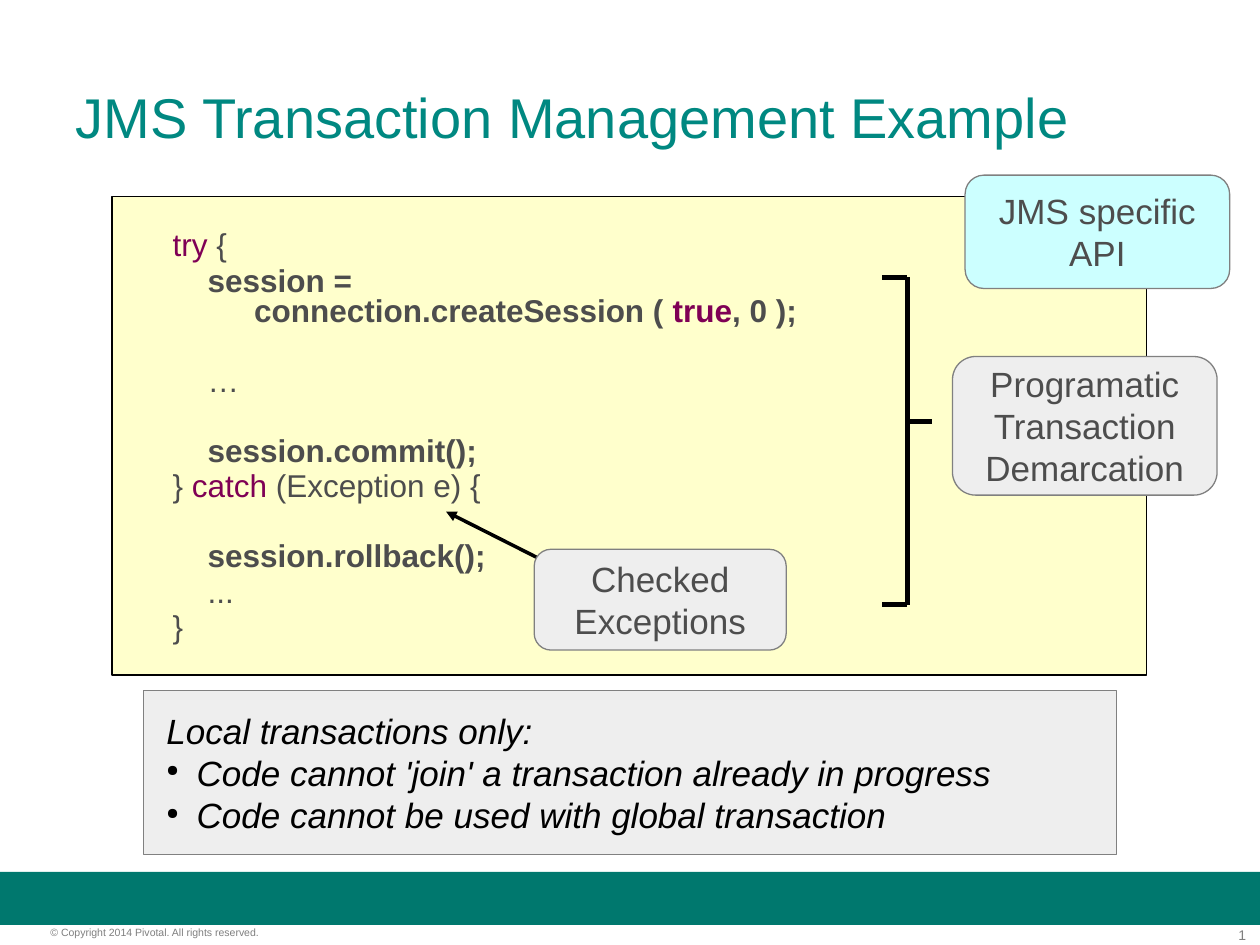
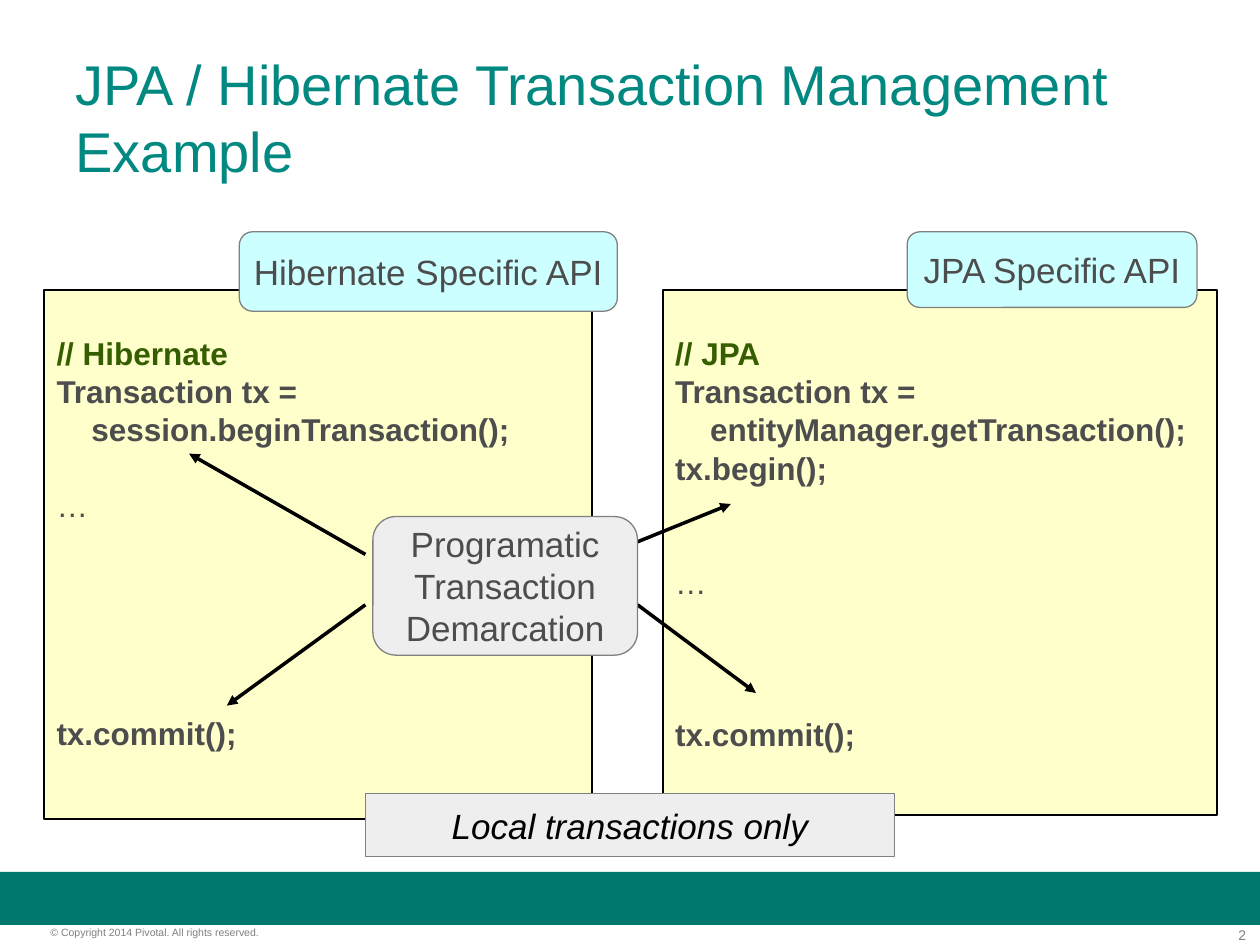
from dataclasses import dataclass

from lxml import etree
from pptx import Presentation
from pptx import util as u
from pptx.dml.color import RGBColor
from pptx.enum import shapes, text
from pptx.oxml import ns

COLUMNS, ROWS = 100, 75
PAGE_WIDTH, PAGE_HEIGHT = u.Inches(10), u.Inches(7.5)
FONT = "Arial"
TEAL, BAND = "008881", "00786E"
CREAM, AQUA, PALE = "FFFFCC", "CCFFFF", "EEEEEE"
BLACK, GREY, INK, FAINT = "000000", "808080", "4D4D4D", "7F7F7F"
KEYWORD, REMARK = "7F0055", "355E00"
CODE_LINE = 17.2
RECTANGLE = shapes.MSO_SHAPE.RECTANGLE
ROUNDED = shapes.MSO_SHAPE.ROUNDED_RECTANGLE
LEFT, CENTER, RIGHT = text.PP_ALIGN.LEFT, text.PP_ALIGN.CENTER, text.PP_ALIGN.RIGHT
MIDDLE, TOP = text.MSO_ANCHOR.MIDDLE, text.MSO_ANCHOR.TOP
LOCAL_ONLY = "Local transactions only"
DEMARCATION = ["Programatic", "Transaction", "Demarcation"]


@dataclass
class Box:
    left: float
    top: float
    width: float
    height: float

    def at(self, across, down):
        return self.left + across * self.width, self.top + down * self.height

    def place(self):
        return (*cell(self.left, self.top), *cell(self.width, self.height))


@dataclass
class Line:
    spans: list
    blanks_above: int = 0


def cell(column, row):
    return round(column * PAGE_WIDTH / COLUMNS), round(row * PAGE_HEIGHT / ROWS)


def color(value):
    return RGBColor.from_string(value)


def style(font, size, shade, bold=None, italic=None):
    font.name, font.size = FONT, u.Pt(size)
    font.bold, font.italic = bold, italic
    font.color.rgb = color(shade)


def set_frame(frame, anchor, insets=(0.1, 0.05, 0.1, 0.05), wrap=True):
    frame.word_wrap, frame.vertical_anchor = wrap, anchor
    frame.auto_size = text.MSO_AUTO_SIZE.NONE
    (frame.margin_left, frame.margin_top,
     frame.margin_right, frame.margin_bottom) = map(u.Inches, insets)


def next_para(frame, index):
    return frame.add_paragraph() if index else frame.paragraphs[0]


def hang(para, depth):
    properties = para._p.get_or_add_pPr()
    properties.set("marL", str(u.Inches(depth)))
    properties.set("indent", str(-u.Inches(depth)))
    return properties


def add_bullet(para):
    properties = hang(para, 0.24)
    shade = etree.SubElement(properties, ns.qn("a:buClr"))
    etree.SubElement(shade, ns.qn("a:srgbClr"), val=BLACK)
    etree.SubElement(properties, ns.qn("a:buSzPct"), val="45000")
    etree.SubElement(properties, ns.qn("a:buChar"), char="●")


def add_panel(page, box, fill, line=None, weight=0, kind=RECTANGLE):
    panel = page.shapes.add_shape(kind, *box.place())
    panel.shadow.inherit = False
    panel.fill.solid()
    panel.fill.fore_color.rgb = color(fill)
    if line:
        panel.line.color.rgb = color(line)
        panel.line.width = u.Pt(weight)
    else:
        panel.line.fill.background()
    return panel


def add_line(page, start, end, weight=0, arrow=False):
    line = page.shapes.add_connector(
        shapes.MSO_CONNECTOR.STRAIGHT, *cell(*start), *cell(*end))
    line.line.color.rgb = color(BLACK)
    line.line.width = u.Pt(weight)
    if arrow:
        etree.SubElement(line.line._get_or_add_ln(), ns.qn("a:tailEnd"), type="triangle")
    etree.SubElement(line._element.spPr, ns.qn("a:effectLst"))


def add_title(page, box, words):
    title = page.shapes.title
    title.left, title.top, title.width, title.height = box.place()
    set_frame(title.text_frame, MIDDLE)
    title.text_frame.text = words
    para = title.text_frame.paragraphs[0]
    para.alignment = LEFT
    style(para.font, 32, TEAL)


def add_small_print(page, box, size, align):
    note = page.shapes.add_textbox(*box.place())
    set_frame(note.text_frame, TOP, (0, 0, 0, 0))
    para = note.text_frame.paragraphs[0]
    para.alignment = align
    style(para.font, size, FAINT)
    return para


def add_footer(page, box, number):
    add_panel(page, Box(box.left, box.top, box.width, 4.2), BAND)
    base = box.top + 4.3
    para = add_small_print(page, Box(93.1, base, 5.8, 1.3), 8, RIGHT)
    field = etree.SubElement(para._p, ns.qn("a:fld"), type="slidenum",
                             id="{B6F15528-21DE-4FAA-801E-634DDDAF4B2B}")
    run_style = etree.SubElement(field, ns.qn("a:rPr"), lang="en-US", sz="800")
    fill = etree.SubElement(run_style, ns.qn("a:solidFill"))
    etree.SubElement(fill, ns.qn("a:srgbClr"), val=FAINT)
    etree.SubElement(run_style, ns.qn("a:latin"), typeface=FONT)
    etree.SubElement(field, ns.qn("a:t")).text = str(number)
    para = add_small_print(page, Box(4, base, 24.9, 1), 6, LEFT)
    para.add_run().text = "© Copyright 2014 Pivotal. All rights reserved."


def add_code(page, box, lines, gap, anchor, insets):
    frame = add_panel(page, box, CREAM, BLACK, 1).text_frame
    set_frame(frame, anchor, insets)
    for index, line in enumerate(lines):
        para = next_para(frame, index)
        hang(para, 0.37)
        para.alignment, para.line_spacing = LEFT, 0.8
        if index:
            para.space_before = u.Pt(gap + line.blanks_above * (CODE_LINE + gap))
        style(para.font, 18, INK)
        for words, shade, bold in line.spans:
            for part, piece in enumerate(words.split("\n")):
                if part:
                    para.add_line_break()
                span = para.add_run()
                span.text = piece
                style(span.font, 18, shade, bold)


def add_callout(page, box, lines, fill=PALE, wrap=False):
    frame = add_panel(page, box, fill, GREY, kind=ROUNDED).text_frame
    set_frame(frame, MIDDLE, wrap=wrap)
    for index, words in enumerate(lines):
        para = next_para(frame, index)
        para.text, para.alignment = words, CENTER
        style(para.font, 20, INK)


def add_note(page, box, heading, bullets=(), align=LEFT, inset=0.1):
    frame = add_panel(page, box, PALE, GREY).text_frame
    set_frame(frame, MIDDLE, (inset, 0.05, 0.1, 0.05))
    for index, words in enumerate([heading, *bullets]):
        para = next_para(frame, index)
        para.text, para.alignment = words, align
        if index:
            add_bullet(para)
        style(para.font, 20, BLACK, italic=True)


def add_bracket(page, box, tip):
    for start, end in [((0, 0), (0.5, 0)), ((0, 1), (0.5, 1)),
                       ((0.5, 0), (0.5, 1)), ((0.5, tip), (1, tip))]:
        add_line(page, box.at(*start), box.at(*end), 2.83)


def plain(words, blanks_above=0):
    return Line([(words, INK, False)], blanks_above)


def strong(words, blanks_above=0, shade=INK):
    return Line([(words, shade, True)], blanks_above)


def new_page(deck, title):
    page = deck.slides.add_slide(deck.slide_layouts[5])
    add_footer(page, Box(0, 69.2, COLUMNS, 5.8), 15 + len(deck.slides))
    add_title(page, Box(5, 3, 90, 12.5), title)
    return page


def build_jms(deck):
    page = new_page(deck, "JMS Transaction Management Example")
    add_code(page, Box(8.9, 15.6, 82.1, 38), [
        Line([("try", KEYWORD, False), (" {", INK, False)]),
        Line([("    session =\n    connection.createSession ( ", INK, True),
              ("true", KEYWORD, True), (", 0 );", INK, True)]),
        plain("    …", 1),
        strong("    session.commit();", 1),
        Line([("} ", INK, False), ("catch", KEYWORD, False),
              (" (Exception e) {", INK, False)]),
        strong("    session.rollback();", 1),
        plain("    ..."),
        plain("}"),
    ], 2.8, MIDDLE, (0.48, 0.09, 0.1, 0.05))
    add_note(page, Box(11.4, 54.8, 77.2, 13), LOCAL_ONLY + ":", [
        "Code cannot 'join' a transaction already in progress",
        "Code cannot be used with global transaction",
    ], inset=0.18)
    add_callout(page, Box(76.6, 13.9, 21, 9), ["JMS specific API"], AQUA, wrap=True)
    add_callout(page, Box(75.6, 28.3, 21, 11), DEMARCATION)
    add_bracket(page, Box(70, 22, 4, 26), 0.44)
    checked = Box(42.4, 43.6, 20, 8)
    add_line(page, checked.at(0.05, 0.13), (35.4, 40.6), arrow=True)
    add_callout(page, checked, ["Checked", "Exceptions"])


def add_api_sample(page, box, name, calls, ellipsis_gap, commit_gap):
    add_code(page, box, [
        strong("// " + name, shade=REMARK),
        strong("Transaction tx ="),
        *map(strong, calls),
        plain("…", ellipsis_gap),
        strong("tx.commit();", commit_gap),
    ], 4.5, TOP, (0.1, 0.41, 0.1, 0.05))


def build_jpa(deck):
    page = new_page(deck, "JPA / Hibernate Transaction Management Example")
    add_api_sample(page, Box(52.6, 23, 44, 41.7), "JPA",
                   ["    entityManager.getTransaction();", "tx.begin();"], 2, 3)
    add_api_sample(page, Box(3.5, 23, 43.5, 42), "Hibernate",
                   ["    session.beginTransaction();"], 1, 5)
    for start, end in [((29, 48), (18, 56)), ((50.6, 48), (60, 55)),
                       ((50.6, 43), (58, 40)), ((29, 44), (15, 36))]:
        add_line(page, start, end, arrow=True)
    add_callout(page, Box(72, 18.4, 23, 6), ["JPA Specific API"], AQUA)
    add_callout(page, Box(19, 18.4, 30, 6.3), ["Hibernate Specific API"], AQUA)
    add_callout(page, Box(29.6, 41, 21, 11), DEMARCATION)
    add_note(page, Box(29, 63, 42, 5), LOCAL_ONLY, align=CENTER)


def main():
    deck = Presentation()
    deck.slide_width, deck.slide_height = PAGE_WIDTH, PAGE_HEIGHT
    build_jms(deck)
    build_jpa(deck)
    deck.save("out.pptx")


if __name__ == "__main__":
    main()
